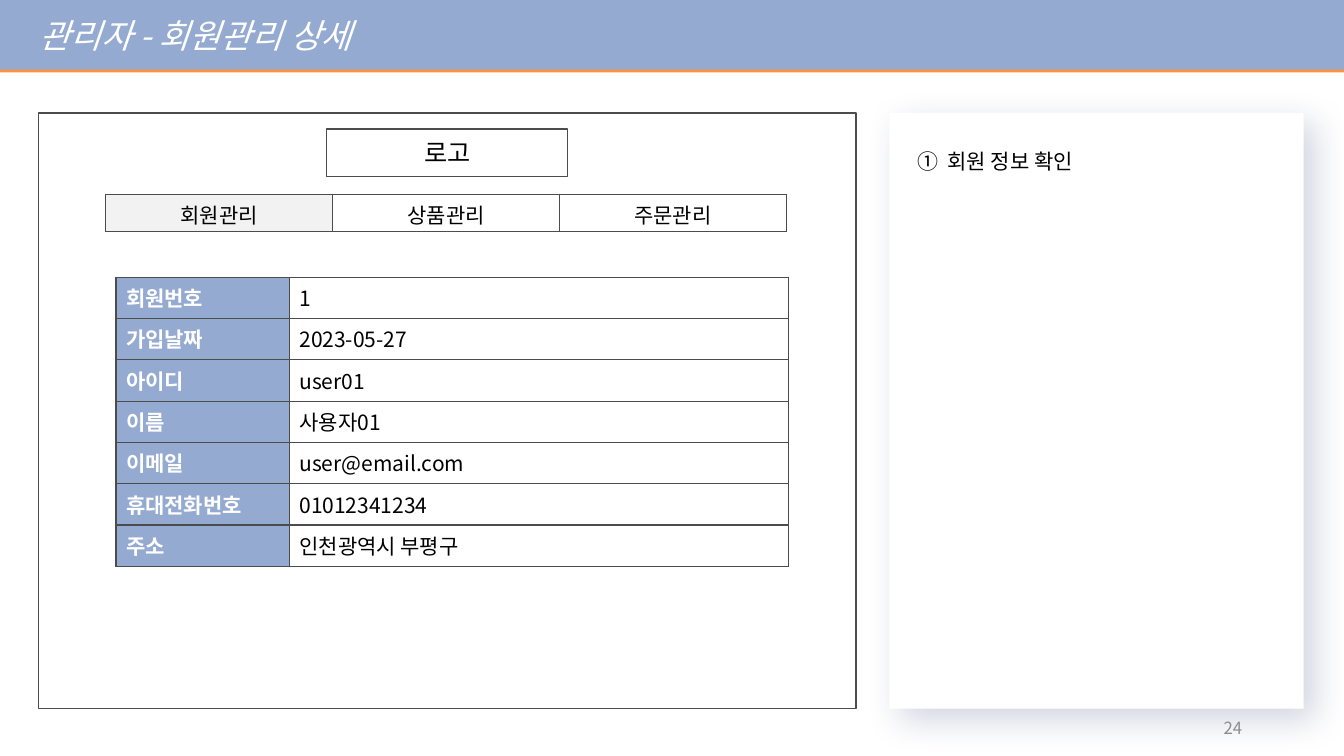
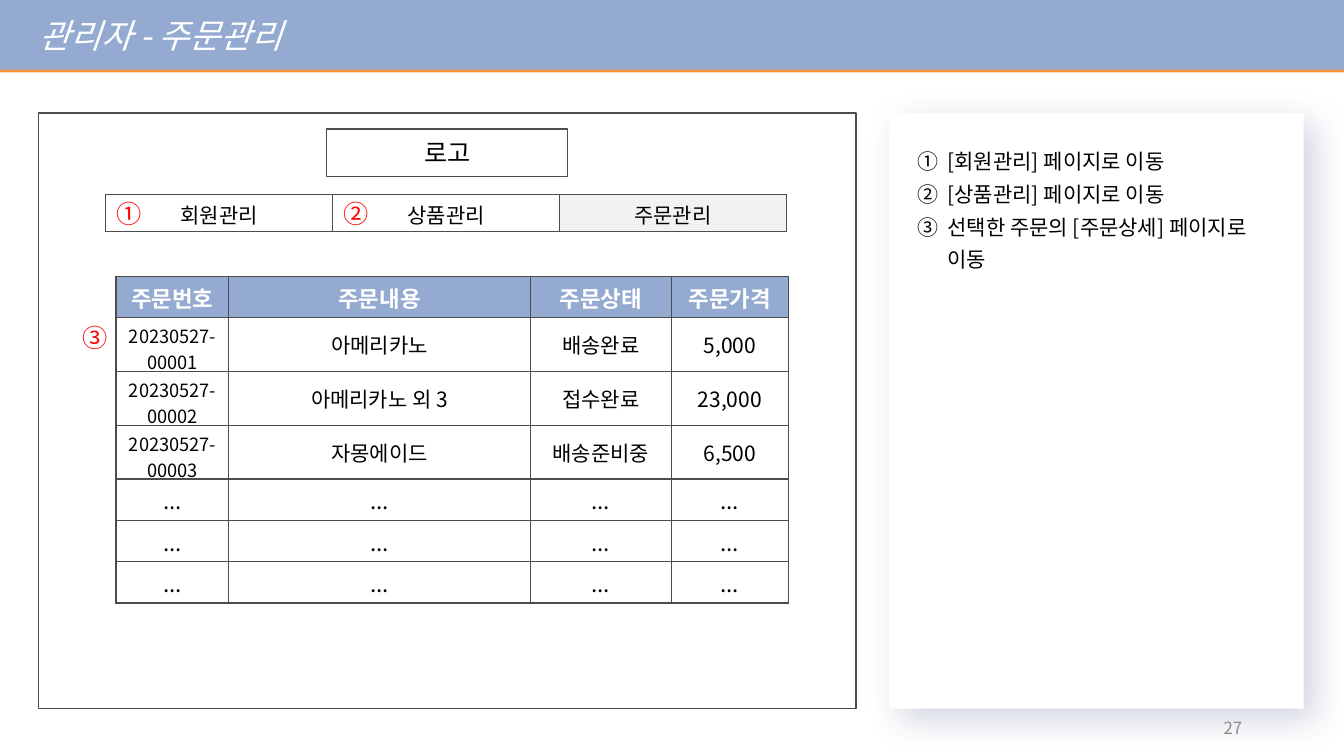
"""Builds two wireframe slides for an administrator's member and order pages."""
from dataclasses import dataclass

from lxml import etree
from pptx import Presentation
from pptx.dml.color import RGBColor
from pptx.enum.shapes import MSO_SHAPE
from pptx.enum.text import MSO_ANCHOR, MSO_AUTO_SIZE, PP_ALIGN
from pptx.oxml.ns import qn
from pptx.util import Inches, Pt

RECTANGLE = MSO_SHAPE.RECTANGLE
LEFT, CENTER, RIGHT, JUSTIFY = PP_ALIGN.LEFT, PP_ALIGN.CENTER, PP_ALIGN.RIGHT, PP_ALIGN.JUSTIFY
TOP, MIDDLE = MSO_ANCHOR.TOP, MSO_ANCHOR.MIDDLE
NO_FIT, GROW = MSO_AUTO_SIZE.NONE, MSO_AUTO_SIZE.SHAPE_TO_FIT_TEXT

FONT = "Noto Sans CJK KR"
WHITE = RGBColor(0xFF, 0xFF, 0xFF)
BLACK = RGBColor(0x00, 0x00, 0x00)
BLUE = RGBColor(0x94, 0xAA, 0xD1)
ORANGE = RGBColor(0xFE, 0x91, 0x3E)
NAVY = RGBColor(0x1E, 0x2E, 0x6C)
OUTLINE = RGBColor(0x4C, 0x4C, 0x4C)
ACTIVE = RGBColor(0xF2, 0xF2, 0xF2)
RED = RGBColor(0xFF, 0x00, 0x00)
GRAY = RGBColor(0x8C, 0x8C, 0x8C)

TABS = ("회원관리", "상품관리", "주문관리")
TAB_WIDTH = 2.25
ROW_HEIGHT = 0.41
ORDER_HEIGHT = 0.53


@dataclass(frozen=True)
class Area:
    left: float
    top: float
    width: float
    height: float

    def lengths(self):
        return [Inches(value) for value in (self.left, self.top, self.width, self.height)]


@dataclass(frozen=True)
class Shadow:
    color: RGBColor
    opacity: int
    blur: int
    distance: int
    angle: int


@dataclass(frozen=True)
class CellStyle:
    size: float = 15
    color: RGBColor = BLACK
    fill: RGBColor = WHITE
    bold: bool = False
    align: PP_ALIGN = CENTER
    anchor: MSO_ANCHOR = MIDDLE


@dataclass(frozen=True)
class Cell:
    text: str
    style: CellStyle


@dataclass(frozen=True)
class Marker:
    text: str
    left: float
    top: float


@dataclass(frozen=True)
class Remark:
    text: str
    align: PP_ALIGN = JUSTIFY


@dataclass(frozen=True)
class Screen:
    title: str
    number: str
    active_tab: str
    remarks: tuple[Remark, ...]
    remarks_area: Area
    table_area: Area
    columns: tuple[float, ...]
    rows: tuple[float, ...]
    cells: list[list[Cell]]
    markers: tuple[Marker, ...] = ()


BAND = Area(0, 0, 13.33, 0.69)
FRAME = Area(0.38, 1.12, 8.11, 5.91)
LOGO = Area(3.24, 1.28, 2.39, 0.47)
PANEL = Area(8.82, 1.12, 4.11, 5.91)
TAB_BAR = Area(1.05, 1.93, 3 * TAB_WIDTH, 0.37)
PAGE_NUMBER = Area(9.42, 7.02, 3, 0.4)
BAND_SHADOW = Shadow(ORANGE, 100, 0, 2, 90)
PANEL_SHADOW = Shadow(NAVY, 20, 25, 11, 45)

TAB = CellStyle(anchor=TOP)
ACTIVE_TAB = CellStyle(fill=ACTIVE, anchor=TOP)
LABEL = CellStyle(color=WHITE, fill=BLUE, bold=True, align=LEFT, anchor=TOP)
VALUE = CellStyle(align=LEFT, anchor=TOP)
HEADER = CellStyle(size=16, color=WHITE, fill=BLUE, bold=True)
ORDER_ID = CellStyle(size=13)
ORDER = CellStyle()
MORE = CellStyle(size=16)

MEMBER = (
    ("회원번호", "1"),
    ("가입날짜", "2023-05-27"),
    ("아이디", "user01"),
    ("이름", "사용자01"),
    ("이메일", "user@email.com"),
    ("휴대전화번호", "01012341234"),
    ("주소", "인천광역시 부평구"),
)
ORDER_HEADINGS = ("주문번호", "주문내용", "주문상태", "주문가격")
ORDERS = (
    ("20230527-00001", "아메리카노", "배송완료", "5,000"),
    ("20230527-00002", "아메리카노 외 3", "접수완료", "23,000"),
    ("20230527-00003", "자몽에이드", "배송준비중", "6,500"),
)
MORE_ROWS = 3


def write_text(para, text: str, *, size: float, color: RGBColor = BLACK, bold: bool = False,
               italic: bool = False, align: PP_ALIGN = LEFT) -> None:
    """Write text into a paragraph, breaking the line at each newline."""
    para.alignment = align
    for index, line in enumerate(text.split("\n")):
        if index:
            para.add_line_break()
        span = para.add_run()
        span.text = line
        font = span.font
        font.size, font.bold, font.italic = Pt(size), bold, italic
        font.color.rgb = color
        font.name = FONT
        etree.SubElement(span._r.get_or_add_rPr(), qn("a:ea"), typeface=FONT)


def add_color(parent, color: RGBColor):
    """Add an RGB colour element and return it."""
    return etree.SubElement(parent, qn("a:srgbClr"), val=str(color))


def cast_shadow(shape, shadow: Shadow) -> None:
    """Give a shape an outer shadow."""
    shape.shadow.inherit = False
    effects = shape._element.spPr.find(qn("a:effectLst"))
    outer = etree.SubElement(
        effects, qn("a:outerShdw"), blurRad=str(Pt(shadow.blur)), dist=str(Pt(shadow.distance)),
        dir=str(shadow.angle * 60000), algn="tl", rotWithShape="0")
    color = add_color(outer, shadow.color)
    etree.SubElement(color, qn("a:alpha"), val=str(shadow.opacity * 1000))


def add_box(page, area: Area, *, fill: RGBColor | None = None, line: RGBColor | None = None):
    """Add a rectangle with optional fill and outline."""
    box = page.shapes.add_shape(RECTANGLE, *area.lengths())
    box.shadow.inherit = False
    if fill is None:
        box.fill.background()
    else:
        box.fill.solid()
        box.fill.fore_color.rgb = fill
    if line is None:
        box.line.fill.background()
    else:
        box.line.color.rgb = line
        box.line.width = Pt(1)
    return box


def add_text_frame(page, area: Area, *, wrap: bool = True, grow: bool = False,
                   anchor: MSO_ANCHOR = TOP):
    """Add a text box and return its text frame."""
    frame = page.shapes.add_textbox(*area.lengths()).text_frame
    frame.word_wrap = wrap
    frame.auto_size = GROW if grow else NO_FIT
    frame.vertical_anchor = anchor
    return frame


def style_cell(target, cell: Cell) -> None:
    """Fill, outline and write one table cell."""
    style = cell.style
    target.fill.solid()
    target.fill.fore_color.rgb = style.fill
    target.vertical_anchor = style.anchor
    write_text(target.text_frame.paragraphs[0], cell.text, size=style.size, color=style.color,
               bold=style.bold, align=style.align)
    properties = target._tc.get_or_add_tcPr()
    for index, side in enumerate(("a:lnL", "a:lnR", "a:lnT", "a:lnB")):
        border = etree.Element(qn(side), w=str(Pt(1)))
        add_color(etree.SubElement(border, qn("a:solidFill")), OUTLINE)
        properties.insert(index, border)


def add_grid(page, area: Area, columns: tuple[float, ...], rows: tuple[float, ...],
             cells: list[list[Cell]]) -> None:
    """Add a table with the given column widths, row heights and cells."""
    table = page.shapes.add_table(len(rows), len(columns), *area.lengths()).table
    table.first_row = table.horz_banding = False
    for column, width in zip(table.columns, columns):
        column.width = Inches(width)
    for row, height, row_cells in zip(table.rows, rows, cells):
        row.height = Inches(height)
        for target, cell in zip(row.cells, row_cells):
            style_cell(target, cell)


def add_title(page, text: str) -> None:
    """Turn the title placeholder into the top band."""
    title = page.shapes.title
    title.left, title.top, title.width, title.height = BAND.lengths()
    title.fill.solid()
    title.fill.fore_color.rgb = BLUE
    cast_shadow(title, BAND_SHADOW)
    frame = title.text_frame
    frame.auto_size, frame.vertical_anchor = NO_FIT, MIDDLE
    para = frame.paragraphs[0]
    write_text(para, text, size=24, color=WHITE, italic=True)
    para._p.get_or_add_pPr().set("marL", str(Inches(0.29)))


def add_remarks(page, remarks: tuple[Remark, ...], area: Area) -> None:
    """Add the shadowed panel and its numbered remarks."""
    cast_shadow(add_box(page, PANEL, fill=WHITE), PANEL_SHADOW)
    frame = add_text_frame(page, area, grow=True)
    for index, remark in enumerate(remarks):
        para = frame.add_paragraph() if index else frame.paragraphs[0]
        write_text(para, remark.text, size=15, align=remark.align)
        para.line_spacing = 1.3
        properties = para._p.get_or_add_pPr()
        properties.set("marL", str(Inches(0.3)))
        properties.set("indent", str(Inches(-0.3)))
        add_color(etree.SubElement(properties, qn("a:buClr")), BLACK)
        etree.SubElement(properties, qn("a:buFont"), typeface=FONT)
        etree.SubElement(properties, qn("a:buAutoNum"), type="circleNumDbPlain")


def add_screen(deck, screen: Screen) -> None:
    """Add one slide with its wireframe, remarks and page number."""
    page = deck.slides.add_slide(deck.slide_layouts[5])
    add_title(page, screen.title)
    add_remarks(page, screen.remarks, screen.remarks_area)
    add_box(page, FRAME, line=OUTLINE)
    logo = add_box(page, LOGO, line=OUTLINE).text_frame
    logo.vertical_anchor = MIDDLE
    write_text(logo.paragraphs[0], "로고", size=18, align=CENTER)
    tabs = [Cell(tab, ACTIVE_TAB if tab == screen.active_tab else TAB) for tab in TABS]
    add_grid(page, TAB_BAR, (TAB_WIDTH,) * len(TABS), (TAB_BAR.height,), [tabs])
    add_grid(page, screen.table_area, screen.columns, screen.rows, screen.cells)
    for marker in screen.markers:
        frame = add_text_frame(page, Area(marker.left, marker.top, 0.44, 0.4),
                               wrap=False, grow=True)
        write_text(frame.paragraphs[0], marker.text, size=18, color=RED)
    number = add_text_frame(page, PAGE_NUMBER, anchor=MIDDLE)
    write_text(number.paragraphs[0], screen.number, size=12, color=GRAY, align=RIGHT)


def order_cells() -> list[list[Cell]]:
    """Return the heading, order and continuation rows."""
    headings = [Cell(text, HEADER) for text in ORDER_HEADINGS]
    orders = [[Cell(order[0], ORDER_ID)] + [Cell(text, ORDER) for text in order[1:]]
              for order in ORDERS]
    more = [[Cell("...", MORE) for _ in ORDER_HEADINGS] for _ in range(MORE_ROWS)]
    return [headings, *orders, *more]


def main() -> None:
    """Build and save the deck."""
    deck = Presentation()
    deck.slide_width, deck.slide_height = Inches(13.33), Inches(7.5)
    add_screen(deck, Screen(
        "관리자 - 회원관리 상세", "24", "회원관리", (Remark("회원 정보 확인"),),
        Area(9, 1.35, 3.78, 0.74),
        Area(1.15, 2.75, 6.67, 2.84), (1.72, 4.95), (ROW_HEIGHT,) * len(MEMBER),
        [[Cell(label, LABEL), Cell(value, VALUE)] for label, value in MEMBER]))
    add_screen(deck, Screen(
        "관리자 - 주문관리", "27", "주문관리",
        (Remark("[회원관리] 페이지로 이동"), Remark("[상품관리] 페이지로 이동"),
         Remark("선택한 주문의 [주문상세] 페이지로\n이동", LEFT)), Area(9, 1.35, 3.78, 1.72),
        Area(1.15, 2.74, 6.67, 3.23), (1.12, 2.99, 1.4, 1.16),
        (ROW_HEIGHT,) + (ORDER_HEIGHT,) * len(ORDERS) + (ROW_HEIGHT,) * MORE_ROWS,
        order_cells(),
        (Marker("①", 1.06, 1.92), Marker("②", 1.06 + TAB_WIDTH, 1.92), Marker("③", 0.72, 3.15))))
    deck.save("out.pptx")


if __name__ == "__main__":
    main()
